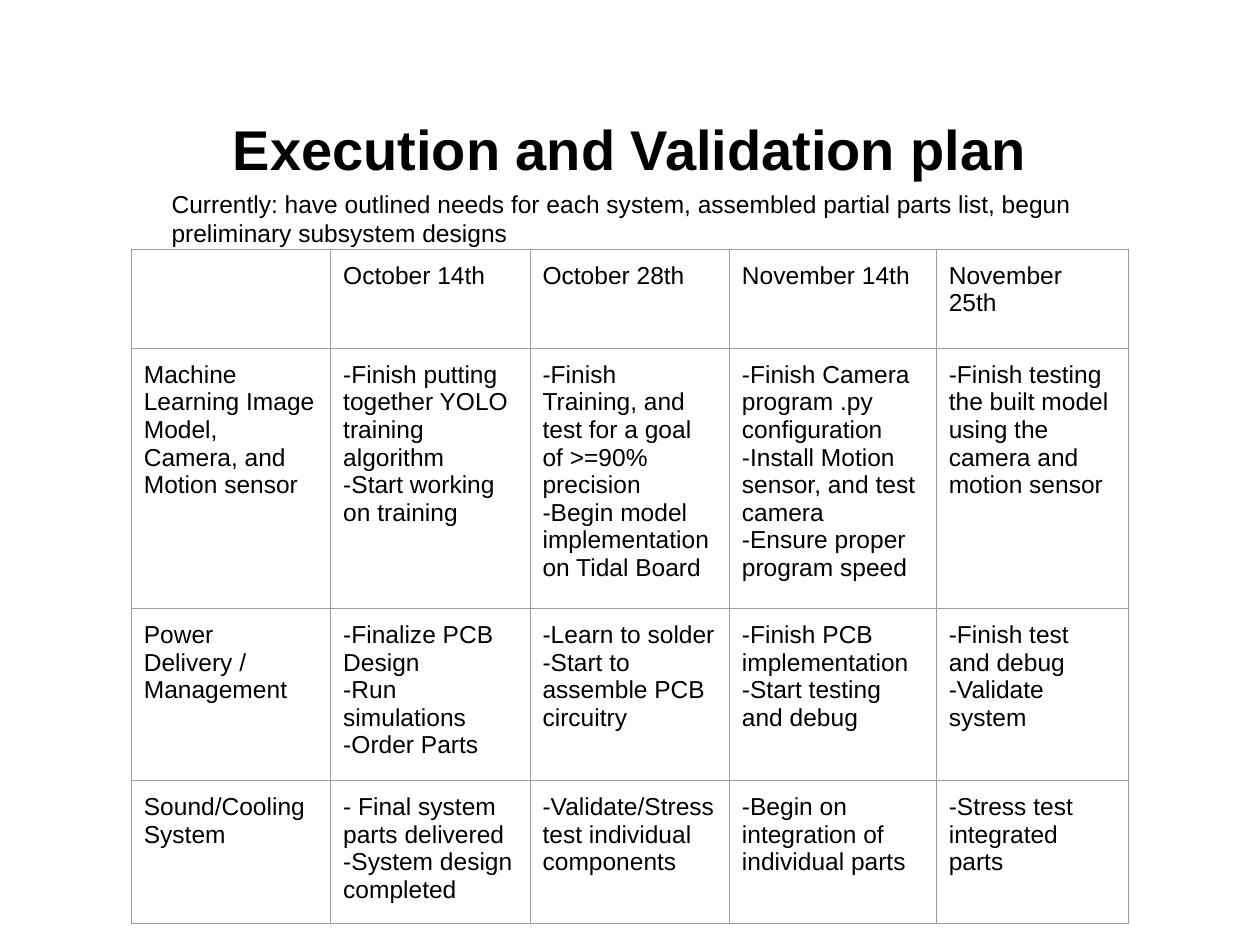
from lxml import etree
from pptx import Presentation
from pptx.dml.color import RGBColor
from pptx.enum import text
from pptx.oxml import ns
from pptx.util import Cm, Pt

HUES = {"ink": "000000", "rule": "9E9E9E"}
TITLE = "Execution and Validation plan"
STATE = ("Currently: have outlined needs for each system, assembled partial "
         "parts list, begun preliminary subsystem designs")
PLAN = [
    ["", "October 14th", "October 28th", "November 14th", "November 25th"],
    ["Machine Learning Image Model, Camera, and Motion sensor",
     "-Finish putting together YOLO training algorithm\n-Start working on training",
     "-Finish Training, and test for a goal of >=90% precision\n"
     "-Begin model implementation on Tidal Board",
     "-Finish Camera program .py configuration\n"
     "-Install Motion sensor, and test camera\n-Ensure proper program speed",
     "-Finish testing the built model using the camera and motion sensor"],
    ["Power Delivery / Management",
     "-Finalize PCB Design\n-Run simulations\n-Order Parts",
     "-Learn to solder\n-Start to assemble PCB circuitry",
     "-Finish PCB implementation\n-Start testing and debug",
     "-Finish test and debug\n-Validate system"],
    ["Sound/Cooling System",
     "- Final system parts delivered\n-System design completed",
     "-Validate/Stress test individual components",
     "-Begin on integration of individual parts",
     "-Stress test integrated parts"],
]
WIDTHS = [4.02, 4.02, 4.02, 4.17, 3.87]
HEIGHTS = [2, 5.19, 3.43, 2.84]


def write(frame, words, size=14, bold=False, align=text.PP_ALIGN.LEFT):
    frame.text = words
    for para in frame.paragraphs:
        para.alignment = align
        font = para.font
        font.name, font.size, font.bold = "Arial", Pt(size), bold
        font.color.rgb = RGBColor.from_string(HUES["ink"])


def label(slide, area, words, pad, anchor, **form):
    frame = slide.shapes.add_textbox(*map(Cm, area)).text_frame
    frame.word_wrap = True
    frame.vertical_anchor = anchor
    frame.margin_left = frame.margin_right = Cm(0.25)
    frame.margin_top = frame.margin_bottom = Cm(pad)
    write(frame, words, **form)


def border(cell):
    props = cell._tc.get_or_add_tcPr()
    for spot, side in enumerate(("lnL", "lnR", "lnT", "lnB")):
        line = etree.Element(ns.qn("a:" + side), w=str(Pt(0.75)))
        fill = etree.SubElement(line, ns.qn("a:solidFill"))
        etree.SubElement(fill, ns.qn("a:srgbClr"), val=HUES["rule"])
        props.insert(spot, line)


def grid(slide, left, top):
    area = map(Cm, (left, top, sum(WIDTHS), sum(HEIGHTS)))
    table = slide.shapes.add_table(len(PLAN), len(WIDTHS), *area).table
    table.first_row = table.horz_banding = False
    for col, width in zip(table.columns, WIDTHS):
        col.width = Cm(width)
    for row, height, items in zip(table.rows, HEIGHTS, PLAN):
        row.height = Cm(height)
        for cell, words in zip(row.cells, items):
            cell.margin_left = cell.margin_right = Cm(0.25)
            cell.margin_top = cell.margin_bottom = Cm(0.25)
            cell.fill.background()
            border(cell)
            write(cell.text_frame, words)


def main():
    deck = Presentation()
    deck.slide_width, deck.slide_height = Cm(25.4), Cm(19.05)
    slide = deck.slides.add_slide(deck.slide_layouts[6])
    label(slide, (1.27, 1.86, 22.86, 2.24), TITLE, 0.13, text.MSO_ANCHOR.MIDDLE,
          size=32, bold=True, align=text.PP_ALIGN.CENTER)
    grid(slide, 2.65, 5.03)
    label(slide, (3.21, 3.56, 18.97, 1.32), STATE, 0.25, text.MSO_ANCHOR.TOP)
    deck.save("out.pptx")


if __name__ == "__main__":
    main()
